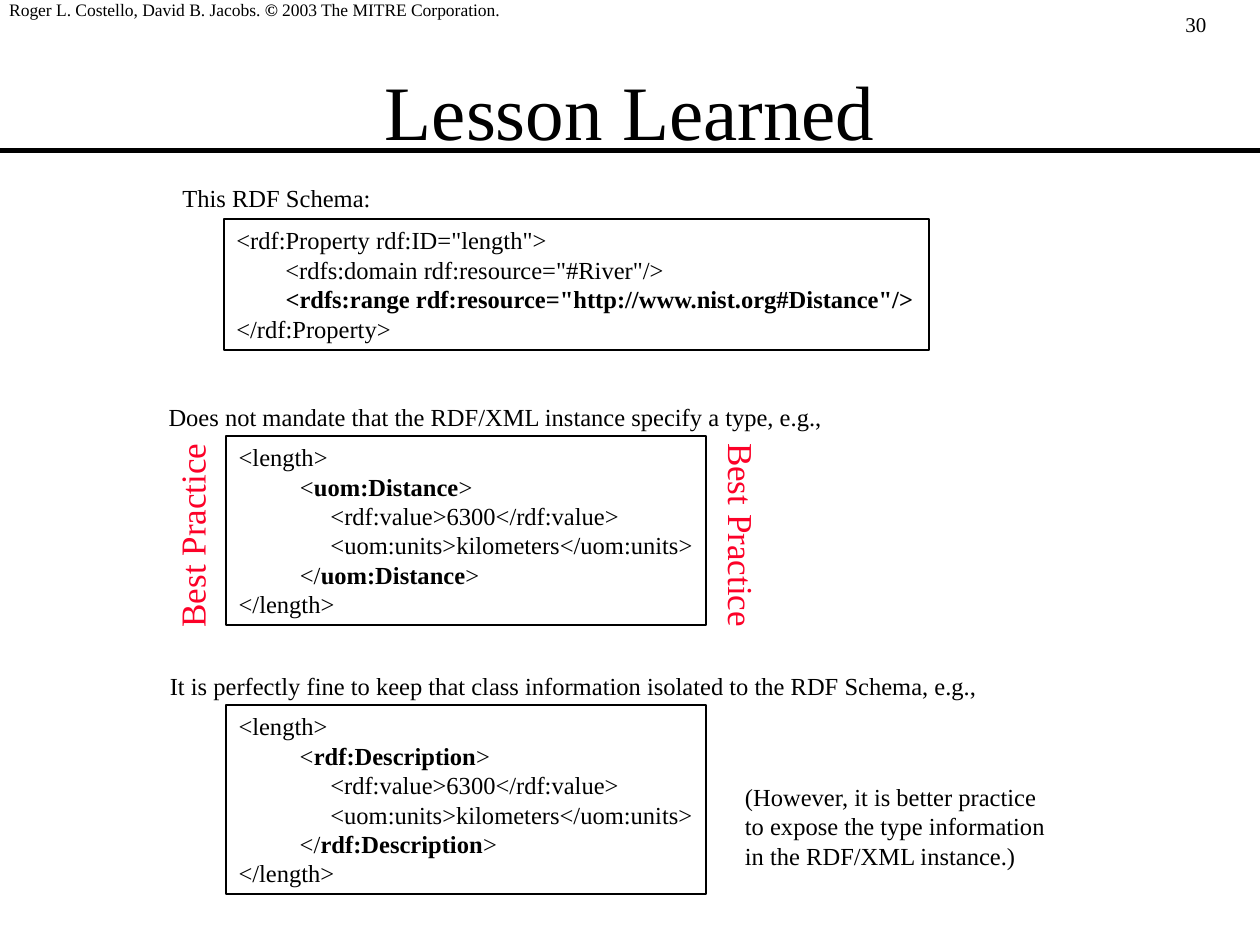
from dataclasses import dataclass

from pptx import Presentation
from pptx import util as u
from pptx.dml.color import RGBColor
from pptx.enum import shapes, text

COLORS = {"ink": "000000", "accent": "FC0128"}
FONT = "Times New Roman"
BOLD_MARK = "**"


@dataclass
class Box:
    left: float
    top: float
    width: float
    height: float


@dataclass
class Label:
    box: Box
    content: str
    size: float = 14
    color: str = "ink"
    rotation: float = 0
    wrap: bool = False


@dataclass
class CodeBox:
    box: Box
    content: str


def rgb(name: str) -> RGBColor:
    return RGBColor.from_string(COLORS[name])


def write_text(sp, content: str, *, size: float = 14, color: str = "ink",
               align=text.PP_ALIGN.LEFT, anchor=text.MSO_ANCHOR.TOP,
               wrap: bool = False) -> None:
    tf = sp.text_frame
    tf.word_wrap = wrap
    tf.auto_size = (text.MSO_AUTO_SIZE.NONE if wrap
                    else text.MSO_AUTO_SIZE.SHAPE_TO_FIT_TEXT)
    tf.vertical_anchor = anchor
    for i, line in enumerate(content.split("\n")):
        p = tf.add_paragraph() if i else tf.paragraphs[0]
        p.alignment = align
        for j, part in enumerate(line.split(BOLD_MARK)):
            if not part:
                continue
            r = p.add_run()
            r.text = part
            r.font.name = FONT
            r.font.size = u.Pt(size)
            r.font.bold = j % 2 == 1
            r.font.color.rgb = rgb(color)


def add_text(s, box: Box, content: str, rotation: float = 0, **fmt) -> None:
    sp = s.shapes.add_textbox(u.Pt(box.left), u.Pt(box.top),
                              u.Pt(box.width), u.Pt(box.height))
    sp.rotation = rotation
    write_text(sp, content, **fmt)


def add_label(s, label: Label) -> None:
    add_text(s, label.box, label.content, label.rotation,
             size=label.size, color=label.color, wrap=label.wrap)


def add_code(s, code: CodeBox) -> None:
    b = code.box
    sp = s.shapes.add_shape(shapes.MSO_SHAPE.RECTANGLE, u.Pt(b.left),
                            u.Pt(b.top), u.Pt(b.width), u.Pt(b.height))
    sp.shadow.inherit = False
    sp.fill.background()
    sp.line.color.rgb = rgb("ink")
    sp.line.width = u.Pt(1)
    write_text(sp, code.content)


def add_rule(s, y: float, width: float) -> None:
    line = s.shapes.add_connector(shapes.MSO_CONNECTOR.STRAIGHT,
                                  u.Pt(0), u.Pt(y), u.Pt(width), u.Pt(y))
    line.line.color.rgb = rgb("ink")
    line.line.width = u.Pt(3)
    sp_pr = line._element.spPr
    sp_pr.append(sp_pr.makeelement(
        "{http://schemas.openxmlformats.org/drawingml/2006/main}effectLst", {}))


def length_instance(tag: str) -> str:
    return "\n".join([
        "<length>",
        f"          <**{tag}**>",
        "               <rdf:value>6300</rdf:value>",
        "               <uom:units>kilometers</uom:units>",
        f"          </**{tag}**>",
        "</length>",
    ])


SCHEMA = """<rdf:Property rdf:ID="length">
        <rdfs:domain rdf:resource="#River"/>
        **<rdfs:range rdf:resource="http://www.nist.org#Distance"/>**
</rdf:Property>"""

CODE_BOXES = [
    CodeBox(Box(128, 125.2, 402.8, 74.9), SCHEMA),
    CodeBox(Box(129.3, 249.2, 274.3, 108), length_instance("uom:Distance")),
    CodeBox(Box(129.2, 403, 274.3, 108), length_instance("rdf:Description")),
]

LABELS = [
    Label(Box(670.3, 3.3, 64.8, 21.6), "30", size=12),
    Label(Box(97.2, 100.8, 130, 24.5), "This RDF Schema:", wrap=True),
    Label(Box(89.2, 226, 400, 24.5),
          "Does not mandate that the RDF/XML instance specify a type, e.g.,",
          wrap=True),
    Label(Box(90, 379.8, 490, 24.5),
          "It is perfectly fine to keep that class information isolated "
          "to the RDF Schema, e.g.,", wrap=True),
    Label(Box(418.6, 443.2, 195, 57.6),
          "(However, it is better practice\nto expose the type information\n"
          "in the RDF/XML instance.)", wrap=True),
] + [
    Label(Box(left, 290, 119.5, 31.7), "Best Practice",
          size=20, color="accent", rotation=rotation)
    for left, rotation in ((364, 90), (50, 270))
]


def main() -> None:
    prs = Presentation()
    prs.slide_width, prs.slide_height = u.Pt(720), u.Pt(540)
    s = prs.slides.add_slide(prs.slide_layouts[6])

    add_text(s, Box(-1.8, -4.3, 310, 19.4),
             "Roger L. Costello, David B. Jacobs. **©** 2003 The MITRE Corporation.",
             size=10, wrap=True)
    add_text(s, Box(54, 17.6, 612, 90), "Lesson Learned", size=44, wrap=True,
             align=text.PP_ALIGN.CENTER, anchor=text.MSO_ANCHOR.MIDDLE)
    for code in CODE_BOXES:
        add_code(s, code)
    for label in LABELS:
        add_label(s, label)
    add_rule(s, 86.2, 720)

    prs.save("out.pptx")


if __name__ == "__main__":
    main()
